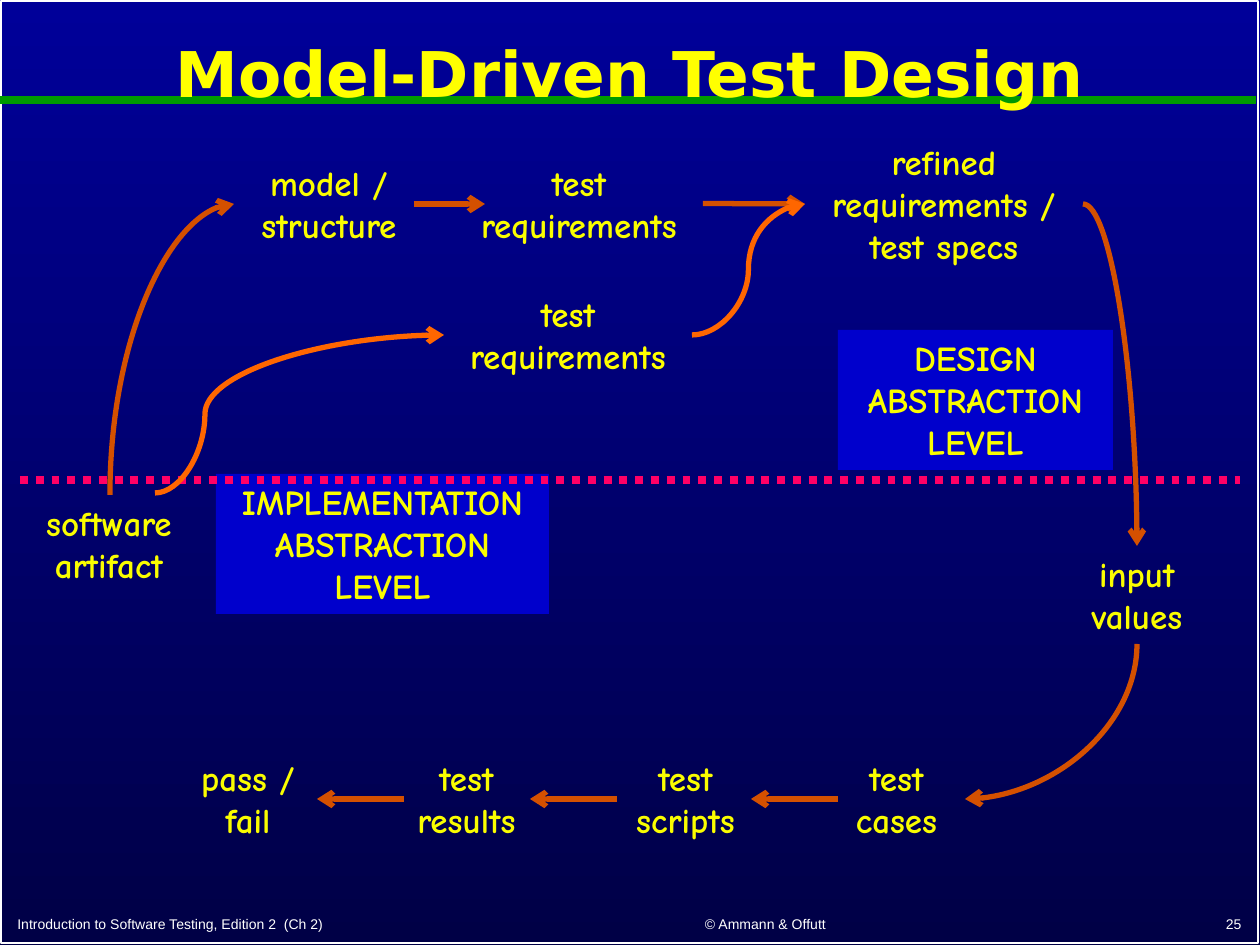
from dataclasses import dataclass

from lxml.etree import SubElement
from pptx import Presentation
from pptx.dml.color import RGBColor
from pptx.enum.dml import MSO_LINE
from pptx.enum.shapes import MSO_CONNECTOR as Connector, MSO_SHAPE as Shape
from pptx.enum.text import MSO_ANCHOR as Anchor, MSO_AUTO_SIZE as AutoSize, PP_ALIGN as Align
from pptx.oxml.ns import qn
from pptx.util import Pt

PX = 914400 // 126  # EMU in one px
WIDTH, HEIGHT = 1260, 945
RIGHT_ANGLE = "5400000"


@dataclass(frozen=True)
class Theme:
    top: str = "000099"
    bottom: str = "000046"
    white: str = "FFFFFF"
    rule: str = "009900"
    yellow: str = "FFFF00"
    label: str = "FAFD00"
    panel: str = "0000CC"
    arrow: str = "D45000"
    bright_arrow: str = "FF6600"
    divider: str = "FF0066"
    title_font: str = "DejaVu Sans"
    label_font: str = "Comic Neue"
    footer_font: str = "Arial"
    title_size: int = 36
    label_size: int = 20
    footer_size: int = 8
    arrow_width: int = 3
    rule_width: float = 4.5


THEME = Theme()


def rgb(color):
    return RGBColor.from_string(color)


def emu(*lengths):
    return [round(length * PX) for length in lengths]


def set_text(shape, text, font, size, color, bold=True, align=Align.CENTER, anchor=Anchor.TOP):
    frame = shape.text_frame
    frame.text = text
    frame.word_wrap = True
    frame.auto_size = AutoSize.NONE
    frame.vertical_anchor = anchor
    for paragraph in frame.paragraphs:
        paragraph.alignment = align
        for run in paragraph.runs:
            run.font.name = font
            run.font.size = Pt(size)
            run.font.bold = bold
            run.font.color.rgb = rgb(color)


def add_label(slide, text, left, top, width, height=97, color=THEME.label):
    box = slide.shapes.add_textbox(*emu(left, top, width, height))
    set_text(box, text, THEME.label_font, THEME.label_size, color)
    return box


def add_panel(slide, text, left, top, width, height):
    panel = slide.shapes.add_shape(Shape.RECTANGLE, *emu(left, top, width, height))
    panel.shadow.inherit = False
    panel.fill.solid()
    panel.fill.fore_color.rgb = rgb(THEME.panel)
    panel.line.fill.background()
    set_text(panel, text, THEME.label_font, THEME.label_size, THEME.label)


def add_line(slide, start, end, color, width, kind=Connector.STRAIGHT):
    line = slide.shapes.add_connector(kind, *emu(*start, *end))
    line.line.color.rgb = rgb(color)
    line.line.width = Pt(width)
    SubElement(line.element.spPr, qn("a:effectLst"))
    return line


def add_arrow(slide, start, end, color=THEME.arrow, kind=Connector.STRAIGHT):
    arrow = add_line(slide, start, end, color, THEME.arrow_width, kind)
    SubElement(arrow.line._get_or_add_ln(), qn("a:tailEnd"), type="arrow")
    return arrow


def add_s_curve(slide, start, end, bend):
    """Curve that turns at a share `bend` (in 1/100000) of its width."""
    arrow = add_arrow(slide, start, end, THEME.bright_arrow, Connector.CURVE)
    adjustments = arrow.element.spPr.find(qn("a:prstGeom")).get_or_add_avLst()
    SubElement(adjustments, qn("a:gd"), name="adj1", fmla=f"val {bend}")


def add_quarter_curve(slide, start, end, starts_upright=False):
    """Curve with one turn; an upright start is drawn flat and rotated about its centre."""
    if starts_upright:
        (x1, y1), (x2, y2) = start, end
        center_x, center_y = (x1 + x2) / 2, (y1 + y2) / 2
        half_x, half_y = (y2 - y1) / 2, (x1 - x2) / 2
        start = center_x - half_x, center_y - half_y
        end = center_x + half_x, center_y + half_y
    arrow = add_arrow(slide, start, end, kind=Connector.CURVE)
    properties = arrow.element.spPr
    properties.find(qn("a:prstGeom")).set("prst", "curvedConnector2")
    if starts_upright:
        properties.find(qn("a:xfrm")).set("rot", RIGHT_ANGLE)


def build_backdrop(slide, width, height):
    fill = slide.background.fill
    fill.gradient()
    fill.gradient_angle = 270
    for stop, color in zip(fill.gradient_stops, (THEME.top, THEME.bottom)):
        stop.color.rgb = rgb(color)

    frame = slide.shapes.add_shape(Shape.RECTANGLE, *emu(1, 1, width - 3, height - 3))
    frame.shadow.inherit = False
    frame.fill.background()
    frame.line.color.rgb = rgb(THEME.white)
    frame.line.width = Pt(1)
    add_line(slide, (0, 100), (width - 4, 100), THEME.rule, THEME.rule_width)


def build_title(slide, left, top, width, height):
    title = slide.shapes.title
    title.left, title.top, title.width, title.height = emu(left, top, width, height)
    set_text(title, "Model-Driven Test Design", THEME.title_font, THEME.title_size,
             THEME.yellow, anchor=Anchor.MIDDLE)
    title.text_frame.paragraphs[0].line_spacing = 0.9
    slide.shapes.element.append(title.element)  # in front of the rule


def build_footer(slide, top, height):
    for text, left, width, align in (
        ("Introduction to Software Testing, Edition 2  (Ch 2)", 5, 529, Align.LEFT),
        ("© Ammann & Offutt", 566, 399, Align.CENTER),
        ("25", 992, 262, Align.RIGHT),
    ):
        box = slide.shapes.add_textbox(*emu(left, top, width, height))
        set_text(box, text, THEME.footer_font, THEME.footer_size, THEME.white,
                 bold=False, align=align, anchor=Anchor.BOTTOM)


def build_design_level(slide, top):
    axis = top + 70  # middle of the upper row
    add_label(slide, "model / structure", 234, top + 21, 190)
    requirements = add_label(slide, "test requirements", 455, top + 21, 248)
    refined = add_label(slide, "refined requirements / test specs", 805, top, 278, 140)
    add_label(slide, "test requirements", 444, top + 152, 248, color=THEME.yellow)
    add_panel(slide, "DESIGN\nABSTRACTION\nLEVEL", 838, top + 196, 275, 140)

    add_arrow(slide, (414, axis), (485, axis))
    link = add_arrow(slide, (703, axis), (805, axis))
    link.begin_connect(requirements, 3)
    link.end_connect(refined, 1)
    add_s_curve(slide, (692, top + 201), (805, axis), 50000)


def build_implementation_level(slide, top):
    add_label(slide, "software artifact", 14, top + 21, 190)
    add_label(slide, "input values", 1042, top + 72, 190)
    add_panel(slide, "IMPLEMENTATION\nABSTRACTION\nLEVEL", 216, top, 333, 140)

    # Bottom row, read from right to left
    row = top + 276
    for text, left, width in (("test cases", 827, 139), ("test scripts", 607, 157),
                              ("test results", 388, 157), ("pass / fail", 170, 156)):
        add_label(slide, text, left, row, width)
    for start in (838, 617, 404):
        add_arrow(slide, (start, row + 49), (start - 87, row + 49))
    add_quarter_curve(slide, (1137, top + 170), (965, row + 49), starts_upright=True)


def build_level_crossings(slide, divider):
    add_quarter_curve(slide, (110, divider + 15), (234, 204), starts_upright=True)
    add_quarter_curve(slide, (1083, 204), (1137, divider + 66))
    line = add_line(slide, (20, divider), (1240, divider), THEME.divider, THEME.rule_width)
    line.line.dash_style = MSO_LINE.ROUND_DOT  # stored as sysDot
    add_s_curve(slide, (155, divider + 13), (444, 335), 17300)


def main():
    presentation = Presentation()
    presentation.slide_width, presentation.slide_height = emu(WIDTH, HEIGHT)
    slide = presentation.slides.add_slide(presentation.slide_layouts[5])

    build_backdrop(slide, WIDTH, HEIGHT)
    build_title(slide, 6, 14, 1247, 126)
    build_footer(slide, 904, 35)
    build_design_level(slide, 134)
    build_implementation_level(slide, 474)
    build_level_crossings(slide, 480)
    presentation.save("out.pptx")


if __name__ == "__main__":
    main()
